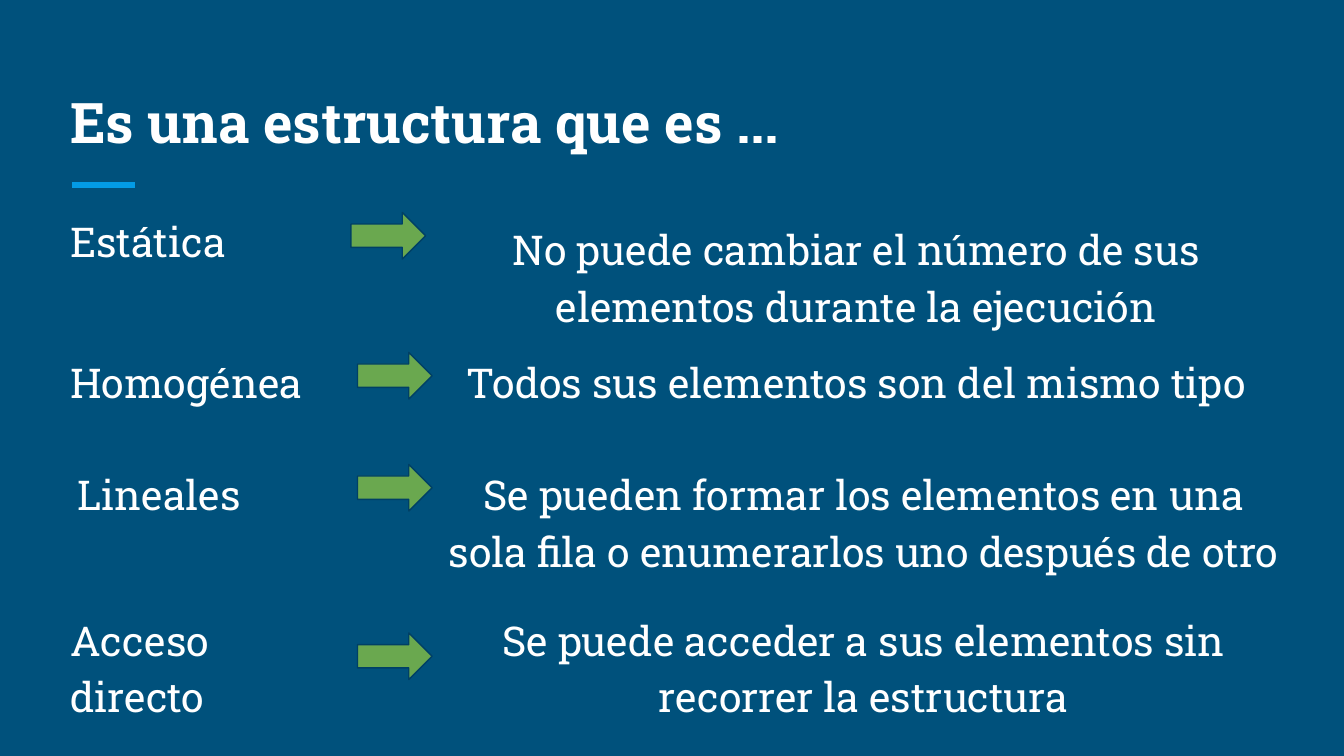
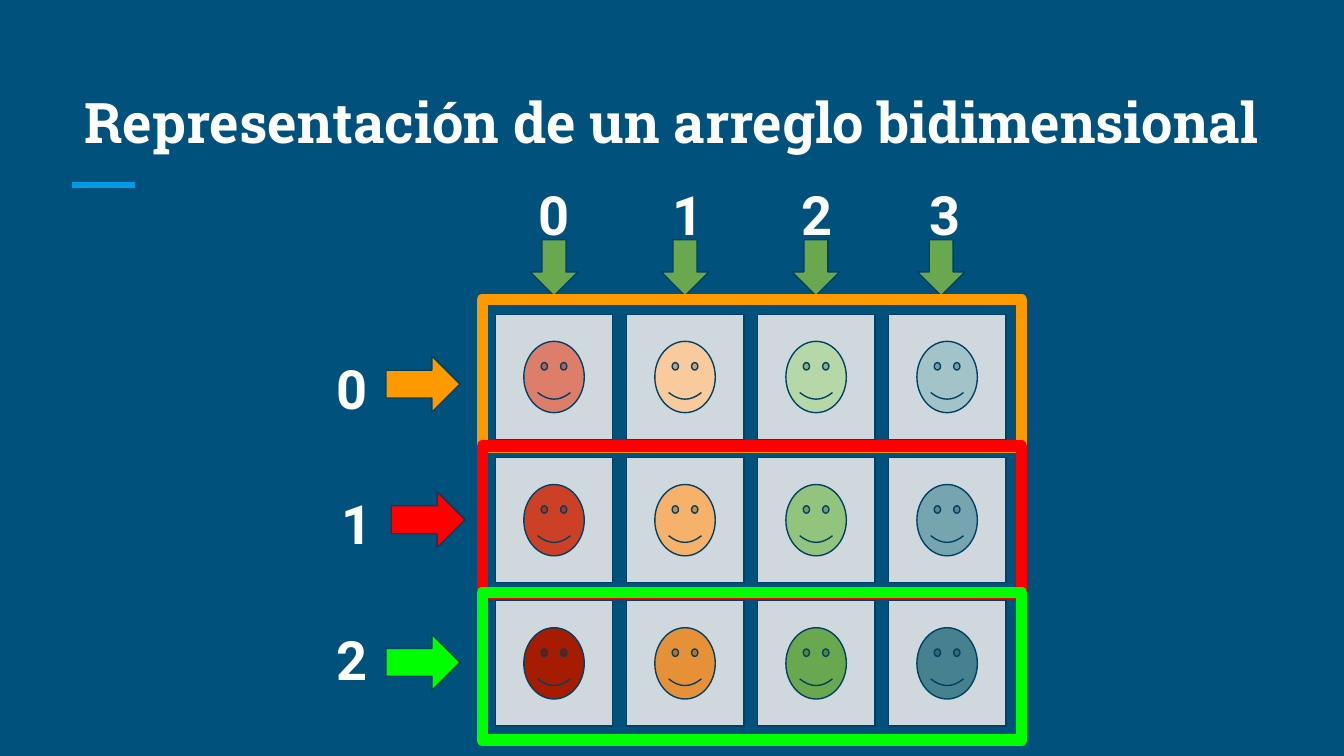
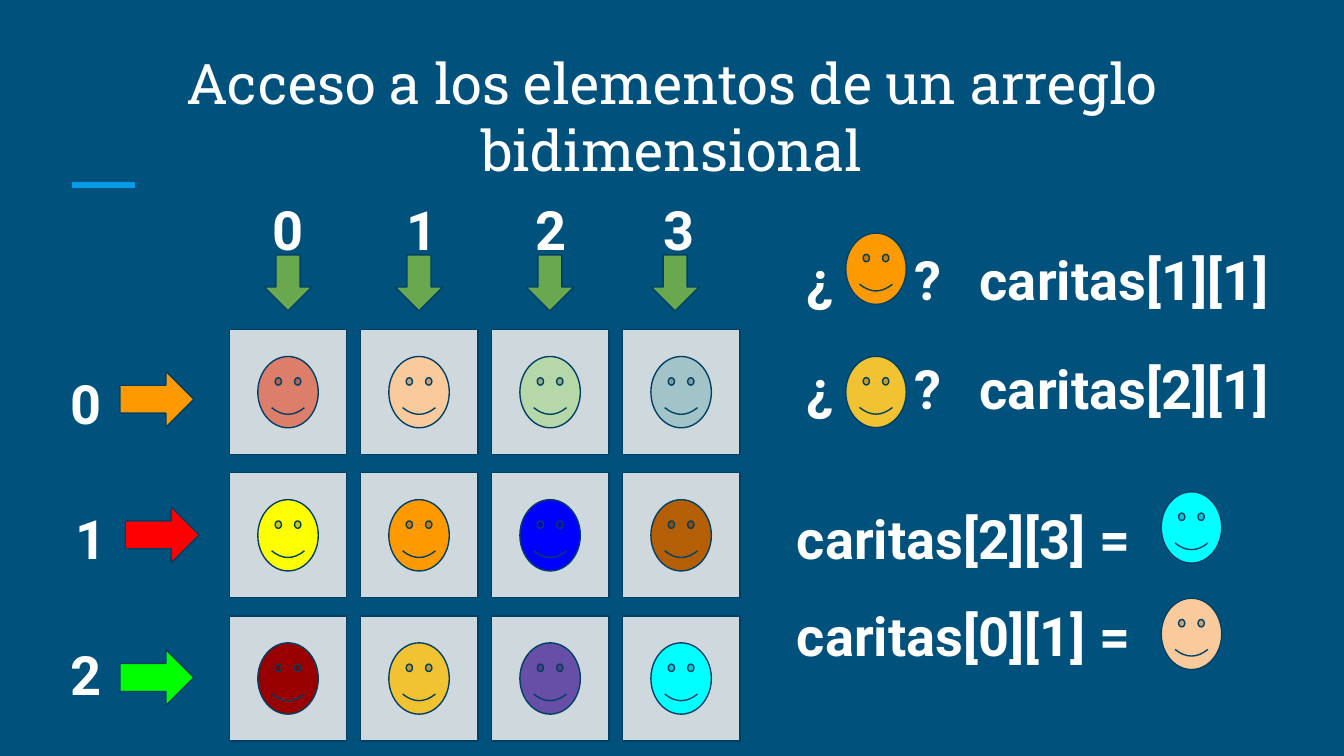
from itertools import product

from pptx import Presentation
from pptx.dml.color import RGBColor
from pptx.enum.shapes import MSO_CONNECTOR, MSO_SHAPE
from pptx.enum.text import MSO_ANCHOR, PP_ALIGN
from pptx.oxml.ns import qn
from pptx.util import Pt
from lxml.etree import SubElement

NAVY = RGBColor(0x00, 0x51, 0x7C)
OUTLINE = RGBColor(0x00, 0x40, 0x65)
ACCENT = RGBColor(0x03, 0x9B, 0xE5)
WHITE = RGBColor(0xFF, 0xFF, 0xFF)
CELL = RGBColor(0xCF, 0xD8, 0xDC)
GREEN = RGBColor(0x6A, 0xA8, 0x4F)
ORANGE = RGBColor(0xFF, 0x99, 0x00)
RED = RGBColor(0xFF, 0x00, 0x00)
LIME = RGBColor(0x00, 0xFF, 0x00)
SALMON = RGBColor(0xDD, 0x7E, 0x6B)
PEACH = RGBColor(0xF9, 0xCB, 0x9C)
MINT = RGBColor(0xB6, 0xD7, 0xA8)
MIST = RGBColor(0xA2, 0xC4, 0xC9)
BRICK = RGBColor(0xCC, 0x41, 0x25)
APRICOT = RGBColor(0xF6, 0xB2, 0x6B)
LEAF = RGBColor(0x93, 0xC4, 0x7D)
TEAL = RGBColor(0x76, 0xA5, 0xAF)
RUST = RGBColor(0xA6, 0x1C, 0x00)
AMBER = RGBColor(0xE6, 0x91, 0x38)
DEEP_TEAL = RGBColor(0x45, 0x81, 0x8E)
YELLOW = RGBColor(0xFF, 0xFF, 0x00)
BLUE = RGBColor(0x00, 0x00, 0xFF)
BROWN = RGBColor(0xB4, 0x5F, 0x06)
MAROON = RGBColor(0x98, 0x00, 0x00)
GOLD = RGBColor(0xF1, 0xC2, 0x32)
PURPLE = RGBColor(0x67, 0x4E, 0xA7)
CYAN = RGBColor(0x00, 0xFF, 0xFF)

SLAB, SANS = "Roboto Slab", "Roboto"
LEFT, CENTER = PP_ALIGN.LEFT, PP_ALIGN.CENTER
INSET = 7.2
COL_STEP, ROW_STEP = 70.2, 76.7
FACE_W, FACE_H = 32.4, 38.2
TOP_ROW = [SALMON, PEACH, MINT, MIST]


def add_text(shapes, text, x, y, w, h, size, font, bold=False, align=LEFT):
    tf = shapes.add_textbox(Pt(x), Pt(y), Pt(w), Pt(h)).text_frame
    tf.word_wrap = True
    tf.margin_left = tf.margin_right = tf.margin_top = tf.margin_bottom = Pt(INSET)
    p = tf.paragraphs[0]
    p.text = text
    p.alignment = align
    p.font.size, p.font.name, p.font.bold = Pt(size), font, bold
    p.font.color.rgb = WHITE
    return tf


def add_body(s, text, x, y, w, align=LEFT):
    p = add_text(s.shapes, text, x, y, w, 42, 22, SLAB, align=align).paragraphs[0]
    p.line_spacing = 1.15
    p.space_after = Pt(16)


def add_code(shapes, text, x, y, w, align=LEFT):
    return add_text(shapes, text, x, y, w, 38.2, 29, SANS, True, align)


def add_figure(shapes, kind, x, y, w, h, fill=None, line=OUTLINE, weight=0.75):
    sp = shapes.add_shape(kind, Pt(x), Pt(y), Pt(w), Pt(h))
    sp.shadow.inherit = False
    if fill is None:
        sp.fill.background()
    else:
        sp.fill.solid()
        sp.fill.fore_color.rgb = fill
    sp.line.color.rgb = line
    sp.line.width = Pt(weight)


def add_face(s, x, y, color):
    add_figure(s.shapes, MSO_SHAPE.SMILEY_FACE, x, y, FACE_W, FACE_H, color)


def add_base(prs, title, y=36, bold=True, align=CENTER):
    s = prs.slides.add_slide(prs.slide_layouts[6])
    s.background.fill.solid()
    s.background.fill.fore_color.rgb = NAVY
    rule = s.shapes.add_connector(MSO_CONNECTOR.STRAIGHT, Pt(38.6), Pt(99.2), Pt(72.3), Pt(99.2))
    rule.line.color.rgb = ACCENT
    rule.line.width = Pt(3)
    SubElement(rule._element.spPr, qn("a:effectLst"))
    tf = add_text(s.shapes, title, 30.5, y, 659, 54, 30, SLAB, bold, align)
    tf.vertical_anchor = MSO_ANCHOR.BOTTOM
    return s


def add_property(s, y, term, meaning, term_x=30.5, arrow_x=191.5, arrow_dy=8.3,
                 meaning_x=232, meaning_dy=0):
    add_body(s, term, term_x, y, 157)
    add_figure(s.shapes, MSO_SHAPE.RIGHT_ARROW, arrow_x, y + arrow_dy, 40, 25, GREEN)
    add_body(s, meaning, meaning_x, y + meaning_dy, 461.5, CENTER)


def add_cells(s, x, y, colors):
    for row, col in product(range(3), range(4)):
        cell_x, cell_y = x + col * COL_STEP, y + row * ROW_STEP
        add_figure(s.shapes, MSO_SHAPE.RECTANGLE, cell_x, cell_y, 63, 67, CELL)
        add_face(s, cell_x + 15.3, cell_y + 14.4, colors[row][col])


def add_indices(s, x, y):
    for col, (label_x, arrow_x) in enumerate([(15.8, 18.7), (87.5, 88.9), (156.8, 159), (225.2, 226.1)]):
        group = s.shapes.add_group_shape().shapes
        add_figure(group, MSO_SHAPE.DOWN_ARROW, x + arrow_x, y - 40, 25.6, 30, GREEN)
        add_code(group, str(col), x + label_x, y - 78.5, 31.7, CENTER)
    for row, (dx, arrow_y, color) in enumerate([(0, 22.3, ORANGE), (2.8, 95, RED), (0, 171.4, LIME)]):
        group = s.shapes.add_group_shape().shapes
        add_code(group, str(row), x - 92.5 + dx, y + 14.5 + row * 72.7, 31.7, CENTER)
        add_figure(group, MSO_SHAPE.RIGHT_ARROW, x - 58.5 + dx, y + arrow_y, 39.6, 30, color)


def add_row_frames(s, x, y):
    for row, color in enumerate([ORANGE, RED, LIME]):
        add_figure(s.shapes, MSO_SHAPE.RECTANGLE, x, y + row * 78.5, 289, 79, line=color, weight=6)


def add_question(s, x, y, answer, color, face_dy):
    add_face(s, x + 33.3, y + face_dy, color)
    tf = add_code(s.shapes, "¿\t?", x, y, 98)
    tf.margin_left = Pt(12.2)
    p_pr = tf.paragraphs[0]._p.get_or_add_pPr()
    tabs = p_pr.makeelement(qn("a:tabLst"), {})
    SubElement(tabs, qn("a:tab"), pos=str(Pt(58)), algn="l")
    p_pr.insert(0, tabs)
    add_code(s.shapes, answer, x + 98, y, 178)


def add_assignment(s, x, y, target, color, face_dy):
    add_code(s.shapes, target, x, y, 202)
    add_face(s, x + 202.3, y + face_dy, color)


def build_properties(prs):
    s = add_base(prs, "Es una estructura que es ...", align=LEFT)
    add_property(s, 105.1, "Estática",
                 "No puede cambiar el número de sus elementos durante la ejecución",
                 arrow_x=188, arrow_dy=8.7, meaning_x=228, meaning_dy=4.3)
    add_property(s, 180.5, "Homogénea", "Todos sus elementos son del mismo tipo", meaning_x=228)
    add_property(s, 240.5, "Lineales",
                 "Se pueden formar los elementos en una sola fila o enumerarlos uno después de otro",
                 term_x=34.5)
    add_property(s, 318.5, "Acceso directo",
                 "Se puede acceder a sus elementos sin recorrer la estructura", arrow_dy=20.6)


def build_representation(prs):
    s = add_base(prs, "Representación de un arreglo bidimensional")
    x, y = 265.3, 168.5
    add_cells(s, x, y, [TOP_ROW, [BRICK, APRICOT, LEAF, TEAL], [RUST, AMBER, GREEN, DEEP_TEAL]])
    add_indices(s, x, y)
    add_row_frames(s, x - 7, y - 8)


def build_access(prs):
    s = add_base(prs, "Acceso a los elementos de un arreglo bidimensional", 51, False)
    x, y = 122.8, 176.6
    add_cells(s, x, y, [TOP_ROW, [YELLOW, ORANGE, BLUE, BROWN], [MAROON, GOLD, PURPLE, CYAN]])
    add_indices(s, x, y)
    add_question(s, 419.8, 124.9, "caritas[1][1]", ORANGE, 0)
    add_question(s, 419.8, 183.4, "caritas[2][1]", GOLD, 7.5)
    add_assignment(s, 419.8, 263.5, "caritas[2][3] =", CYAN, 0)
    add_assignment(s, 419.8, 315.5, "caritas[0][1] =", PEACH, 5)


def main():
    prs = Presentation()
    prs.slide_width, prs.slide_height = Pt(720), Pt(405)
    build_properties(prs)
    build_representation(prs)
    build_access(prs)
    prs.save("out.pptx")


if __name__ == "__main__":
    main()
